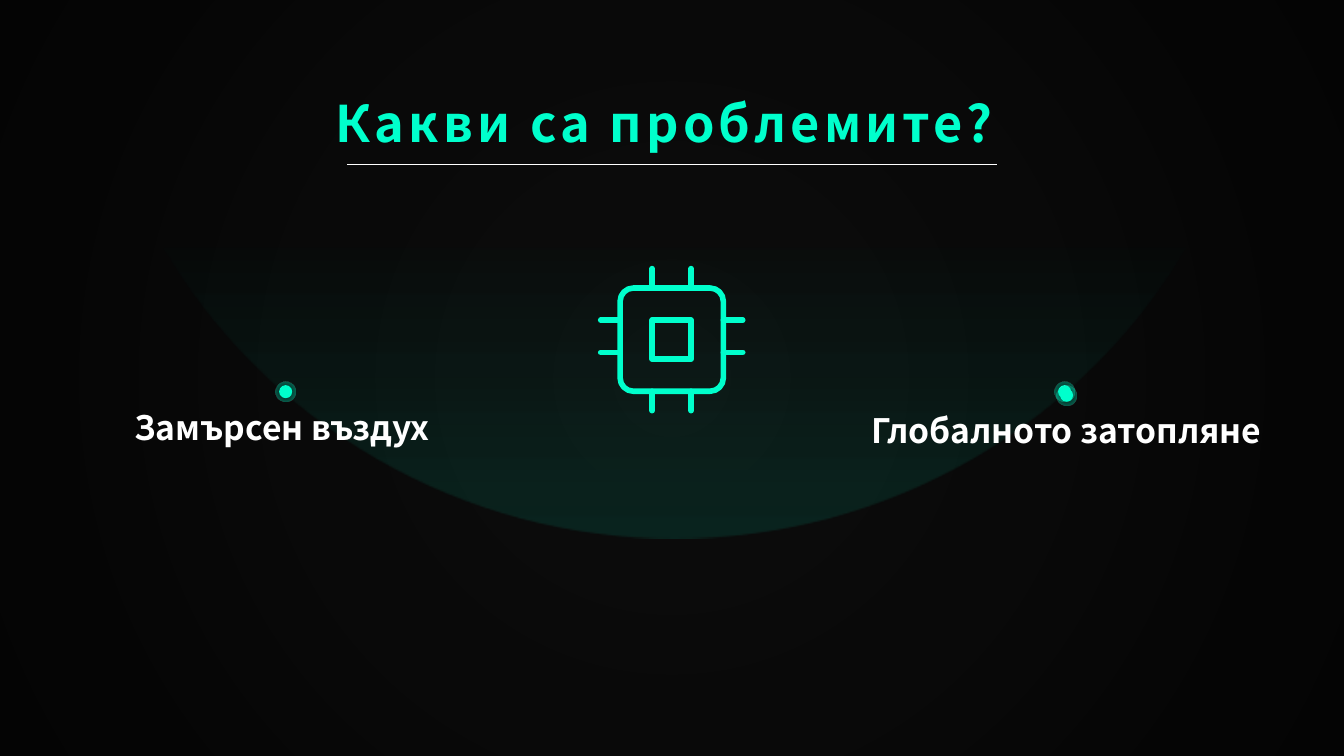
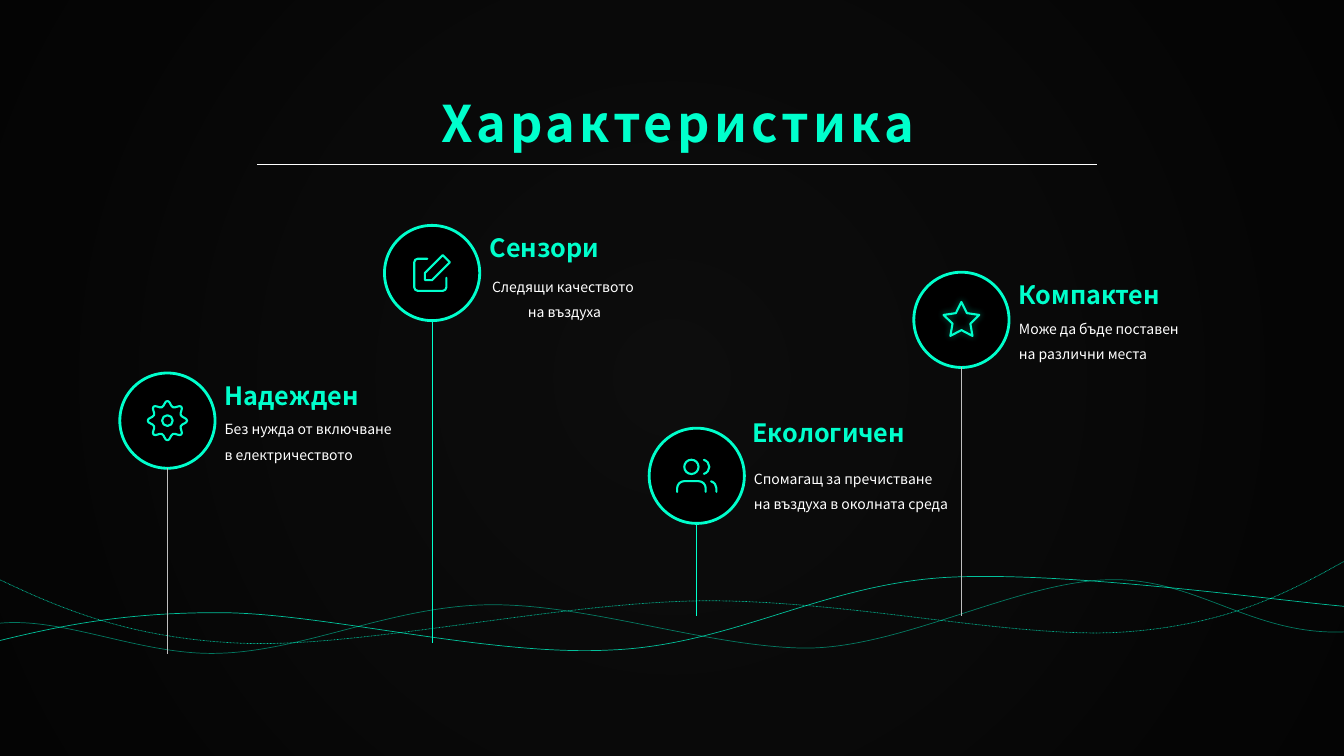
import math

import pptx
import pptx.dml.color
import pptx.enum.dml
import pptx.enum.shapes
import pptx.enum.text
import pptx.oxml
import pptx.oxml.ns
import pptx.util

Cm, Pt = pptx.util.Cm, pptx.util.Pt
SHAPE = pptx.enum.shapes.MSO_SHAPE
ALIGN = pptx.enum.text.PP_ALIGN
DASH = pptx.enum.dml.MSO_LINE
qn = pptx.oxml.ns.qn

COLORS = {"mint": "00FFCC", "white": "FFFFFF", "black": "000000", "stem": "BFBFBF",
          "glow": "262626", "edge": "0D0D0D"}
FONT = "Noto Sans CJK SC"
WIDTH, HEIGHT = 33.87, 19.05

PROBLEMS = {"text": "Какви са проблемите? ", "left": 7.7, "width": 18.49, "rule": (8.75, 25.12)}
FEATURES = {"text": "Характеристика", "left": 3.23, "width": 27.71, "rule": (6.48, 27.64)}

DOTS = [
    (7.2, 9.87, "Замърсен въздух ", 8.51),
    (26.83, 9.87, None, 0),
    (26.88, 9.96, "Глобалното затопляне", 10.54),
]

WAVES = [
    (75, DASH.SOLID, [
        (-0.48, 16.26),
        (1.27, 15.82, 3, 15.42, 5.64, 15.44),
        (8.28, 15.47, 12.34, 16.54, 15.39, 16.38),
        (18.42, 16.26, 20.73, 14.73, 23.85, 14.55),
        (26.95, 14.38, 32.33, 15.16, 34.01, 15.29)]),
    (75, DASH.ROUND_DOT, [
        (-0.48, 14.38),
        (1.3, 15.24, 3.07, 16.08, 6.1, 16.21),
        (9.14, 16.33, 13.97, 15.19, 17.68, 15.14),
        (21.36, 15.11, 25.55, 16.1, 28.27, 15.93),
        (30.99, 15.75, 32.51, 14.91, 34.01, 14.07)]),
    (45, DASH.SOLID, [
        (-0.41, 15.77),
        (1.32, 15.37, 3.48, 16.56, 5.59, 16.46),
        (7.72, 16.38, 9.91, 15.27, 12.32, 15.24),
        (14.76, 15.21, 17.73, 16.26, 20.14, 16.33),
        (22.58, 16.41, 25.55, 14.68, 27.91, 14.61),
        (30.28, 14.53, 31.72, 16.23, 34.37, 15.88)]),
]


def smooth_ring(cx, cy, radii, count, handle):
    knots = []
    for i in range(count + 1):
        a, r = math.tau * i / count, radii[i % len(radii)]
        x, y = cx + r * math.cos(a), cy + r * math.sin(a)
        knots.append((x, y, -handle * math.sin(a), handle * math.cos(a)))
    ring = [knots[0][:2]]
    for (x1, y1, u1, v1), (x2, y2, u2, v2) in zip(knots, knots[1:]):
        ring.append((x1 + u1, y1 + v1, x2 - u2, y2 - v2, x2, y2))
    ring[-1] = ring[-1][:4] + ring[0]
    return ring


def circle(cx, cy, r):
    return smooth_ring(cx, cy, [r], 4, 0.55 * r)


ICONS = {
    "gear": [circle(12, 12, 3), smooth_ring(12, 12, [11, 8.1], 16, 1.6)],
    "edit": [
        [(20, 14.66), (20, 20), (20, 21.1, 19.1, 22, 18, 22), (4, 22),
         (2.9, 22, 2, 21.1, 2, 20), (2, 6), (2, 4.9, 2.9, 4, 4, 4), (9.34, 4)],
        [(18, 2), (22, 6), (12, 16), (8, 16), (8, 12), (18, 2)]],
    "users": [
        [(17, 21), (17, 19), (17, 16.8, 15.2, 15, 13, 15), (5, 15),
         (2.8, 15, 1, 16.8, 1, 19), (1, 21)],
        circle(9, 7, 4),
        [(23, 21), (23, 19), (23, 17.2, 21.8, 15.6, 20, 15.1)],
        [(16, 3.1), (17.8, 3.6, 19, 5.2, 19, 7), (19, 8.8, 17.8, 10.4, 16, 10.9)]],
    "star": [
        [(12, 2), (15.09, 8.26), (22, 9.27), (17, 14.14), (18.18, 21.02), (12, 17.77),
         (5.82, 21.02), (7, 14.14), (2, 9.27), (8.91, 8.26), (12, 2)]],
}
ICON_UNIT, ICON_PAD, CHIP_PAD = 0.045, 0.16, 0.57

BADGES = [
    {"icon": "gear", "y": 10.6, "end": 16.48, "stem": "stem",
     "head": ("Надежден", 5.41, 9.47, 4.01, False),
     "body": ("Без нужда от включване\nв електричеството", 5.41, 10.27, 4.9, 1.47)},
    {"icon": "edit", "y": 6.88, "end": 16.21, "stem": "mint",
     "head": ("Сензори", 12.09, 5.74, 5.84, True),
     "body": ("Следящи качеството \vна въздуха", 12.09, 6.67, 4.27, 1.52), "align": ALIGN.CENTER},
    {"icon": "users", "y": 11.99, "end": 15.53, "stem": "mint",
     "head": ("Екологичен", 18.71, 10.39, 5.21, True),
     "body": ("Спомагащ за пречистване\nна въздуха в околната среда", 18.75, 11.51, 5.54, 2.18)},
    {"icon": "star", "y": 8.06, "end": 15.53, "stem": "stem", "glow": True,
     "head": ("Компактен", 25.42, 6.92, 4.14, False),
     "body": ("Може да бъде поставен\nна различни места", 25.43, 7.73, 4.75, 1.52)},
]
BADGE_X, BADGE_STEP, BADGE_R = 4.22, 6.67, 1.2


def rgb(name):
    return pptx.dml.color.RGBColor.from_string(COLORS[name])


def xml(text):
    return pptx.oxml.parse_xml(text.replace(">", f' {pptx.oxml.ns.nsdecls("a")}>', 1))


def set_alpha(color, percent):
    color.append(xml(f'<a:alpha val="{percent * 1000}"></a:alpha>'))


def set_gradient(obj, fill, stops, radial):
    fill.solid()
    fill.fore_color.rgb = rgb("mint")
    gs = "".join(f'<a:gs pos="{pos * 1000}"><a:srgbClr val="{COLORS[c]}">'
                 f'<a:alpha val="{alpha * 1000}"/></a:srgbClr></a:gs>' for pos, c, alpha in stops)
    way = ('<a:path path="circle"><a:fillToRect l="50000" t="50000" r="50000" b="50000"/></a:path>'
           if radial else '<a:lin ang="5400000" scaled="0"/>')
    old = obj.element.find(".//" + qn("a:solidFill"))
    old.getparent().replace(old, xml(f"<a:gradFill><a:gsLst>{gs}</a:gsLst>{way}</a:gradFill>"))


def stroke(obj, width, color="mint", alpha=100, dash=None, rounded=False):
    obj.line.color.rgb = rgb(color)
    obj.line.width = Pt(width)
    if dash:
        obj.line.dash_style = dash
    ln = obj.element.find(".//" + qn("a:ln"))
    if alpha < 100:
        set_alpha(ln.find(".//" + qn("a:srgbClr")), alpha)
    if rounded:
        ln.set("cap", "rnd")
        ln.append(xml("<a:round></a:round>"))


def add_shape(s, kind, cx, cy, w, h, fill="mint"):
    sp = s.shapes.add_shape(kind, Cm(cx - w / 2), Cm(cy - h / 2), Cm(w), Cm(h))
    sp.shadow.inherit = False
    sp.line.fill.background()
    sp.fill.solid()
    sp.fill.fore_color.rgb = rgb(fill)
    return sp


def add_line(s, x1, y1, x2, y2, width, color):
    c = s.shapes.add_connector(pptx.enum.shapes.MSO_CONNECTOR.STRAIGHT, Cm(x1), Cm(y1), Cm(x2), Cm(y2))
    stroke(c, width, color)
    c.element.spPr.append(xml("<a:effectLst></a:effectLst>"))


def add_path(s, points, width, x=0, y=0, unit=1, pad=0, **style):
    segments = [[(Cm(x + px * unit), Cm(y + py * unit)) for px, py in zip(seg[::2], seg[1::2])]
                for seg in points]
    anchors = [seg[-1] for seg in segments]
    fb = s.shapes.build_freeform(*anchors[0], scale=1.0)
    fb.add_line_segments(anchors[1:], close=anchors[0] == anchors[-1])
    sp = fb.convert_to_shape()
    sp.left, sp.top = sp.left - Cm(pad), sp.top - Cm(pad)
    sp.width, sp.height = sp.width + Cm(2 * pad), sp.height + Cm(2 * pad)
    outline = sp.element.find(".//" + qn("a:pathLst"))[0]
    outline.set("w", str(sp.width))
    outline.set("h", str(sp.height))
    closing = outline.findall(qn("a:close"))
    for step in list(outline):
        outline.remove(step)
    for i, seg in enumerate(segments):
        tag = "moveTo" if i == 0 else "lnTo" if len(seg) == 1 else "cubicBezTo"
        pts = "".join(f'<a:pt x="{px - sp.left}" y="{py - sp.top}"/>' for px, py in seg)
        outline.append(xml(f"<a:{tag}>{pts}</a:{tag}>"))
    outline.extend(closing)
    sp.shadow.inherit = False
    sp.fill.background()
    stroke(sp, width, **style)
    return sp


def add_text(s, text, x, y, w, h, size, color="mint", bold=False, align=ALIGN.LEFT, spacing=None,
             tracking=0, wrap=False):
    tf = s.shapes.add_textbox(Cm(x), Cm(y), Cm(w), Cm(h)).text_frame
    tf.word_wrap = wrap
    tf.auto_size = pptx.enum.text.MSO_AUTO_SIZE.SHAPE_TO_FIT_TEXT
    tf.text = text
    for p in tf.paragraphs:
        p.alignment = align
        if spacing:
            p.line_spacing = spacing
        for r in p.runs:
            r.font.name, r.font.size, r.font.bold = FONT, Pt(size), bold
            r.font.color.rgb = rgb(color)
            if tracking:
                r.font._element.set("spc", str(tracking * 100))


def add_title(s, title):
    add_text(s, title["text"], title["left"], 2.2, title["width"], 1.8, 36,
             bold=True, align=ALIGN.CENTER, tracking=3, wrap=True)
    left, right = title["rule"]
    add_line(s, left, 4.14, right, 4.14, 0.75, "white")


def add_backdrop(prs, s):
    master = prs.slide_master
    set_gradient(master, master.background.fill, [(0, "glow", 100), (100, "edge", 84)], True)
    veil = add_shape(s, SHAPE.RECTANGLE, WIDTH / 2, HEIGHT / 2, WIDTH, HEIGHT, "black")
    set_alpha(veil.element.find(".//" + qn("a:srgbClr")), 65)
    master.element.cSld.spTree.append(veil.element)


def add_chip(s, cx, cy):
    a, b, k, core, pin = 1.3, 0.97, 1.15, 0.49, 0.49
    paths = [
        [(b, -a), (k, -a, a, -k, a, -b), (a, b), (a, k, k, a, b, a), (-b, a),
         (-k, a, -a, k, -a, b), (-a, -b), (-a, -k, -k, -a, -b, -a), (b, -a)],
        [(-core, -core), (core, -core), (core, core), (-core, core), (-core, -core)],
    ]
    for side in (-1, 1):
        near, far = side * a, side * (a + pin)
        paths += [[(dx, near), (dx, far)] for dx in (-0.49, 0.49)]
        paths += [[(near, dy), (far, dy)] for dy in (-0.49, 0.32)]
    for points in paths:
        add_path(s, points, 4, cx, cy, pad=CHIP_PAD, rounded=True)


def add_dot(s, x, y, label, width):
    halo = add_shape(s, SHAPE.OVAL, x, y, 0.51, 0.51)
    set_gradient(halo, halo.fill, [(0, "mint", 0), (100, "mint", 50)], True)
    add_shape(s, SHAPE.OVAL, x, y, 0.33, 0.33)
    if label:
        add_text(s, label, x - width / 2, y + 0.25, width, 1.28, 24, color="white", bold=True,
                 align=ALIGN.CENTER)


def add_badge(s, x, badge):
    y = badge["y"]
    stroke(add_shape(s, SHAPE.OVAL, x, y, 2 * BADGE_R, 2 * BADGE_R, "black"), 2)
    for points in ICONS[badge["icon"]]:
        sp = add_path(s, points, 1.5, x - 12 * ICON_UNIT, y - 12 * ICON_UNIT, ICON_UNIT, ICON_PAD,
                      rounded=True)
        if badge.get("glow"):
            sp.element.find(".//" + qn("a:effectLst")).append(xml(
                f'<a:outerShdw blurRad="{Pt(5)}" dist="0" dir="0"><a:srgbClr val="{COLORS["mint"]}">'
                '<a:alpha val="40000"/></a:srgbClr></a:outerShdw>'))
    head, left, top, width, wrap = badge["head"]
    add_text(s, head, left, top, width, 1.02, 18, bold=True, wrap=wrap)
    add_text(s, *badge["body"], 10, color="white", align=badge.get("align", ALIGN.LEFT), spacing=1.5)
    add_line(s, x, y + BADGE_R, x, badge["end"], 0.5, badge["stem"])


def main():
    prs = pptx.Presentation()
    prs.slide_width, prs.slide_height = Cm(WIDTH), Cm(HEIGHT)
    blank = prs.slide_layouts[6]

    s = prs.slides.add_slide(blank)
    add_backdrop(prs, s)
    bowl = add_shape(s, SHAPE.OVAL, 17.01, -1.43, 30, 30)
    set_gradient(bowl, bowl.fill, [(75, "mint", 0), (100, "mint", 10)], False)
    add_title(s, PROBLEMS)
    add_chip(s, 16.93, 8.56)
    for dot in DOTS:
        add_dot(s, *dot)

    s = prs.slides.add_slide(blank)
    for alpha, dash, points in WAVES:
        add_path(s, points, 0.5, alpha=alpha, dash=dash)
    add_title(s, FEATURES)
    for i, badge in enumerate(BADGES):
        add_badge(s, BADGE_X + i * BADGE_STEP, badge)

    prs.save("out.pptx")


if __name__ == "__main__":
    main()
